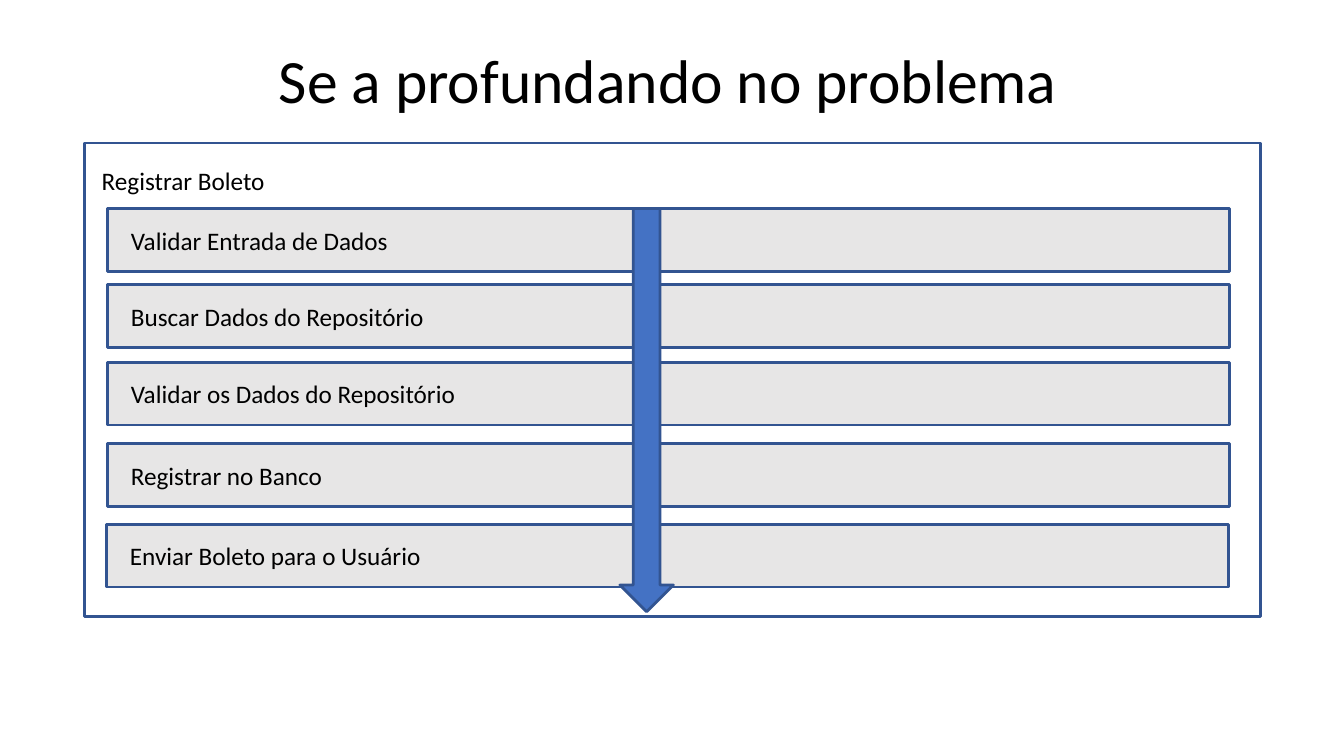
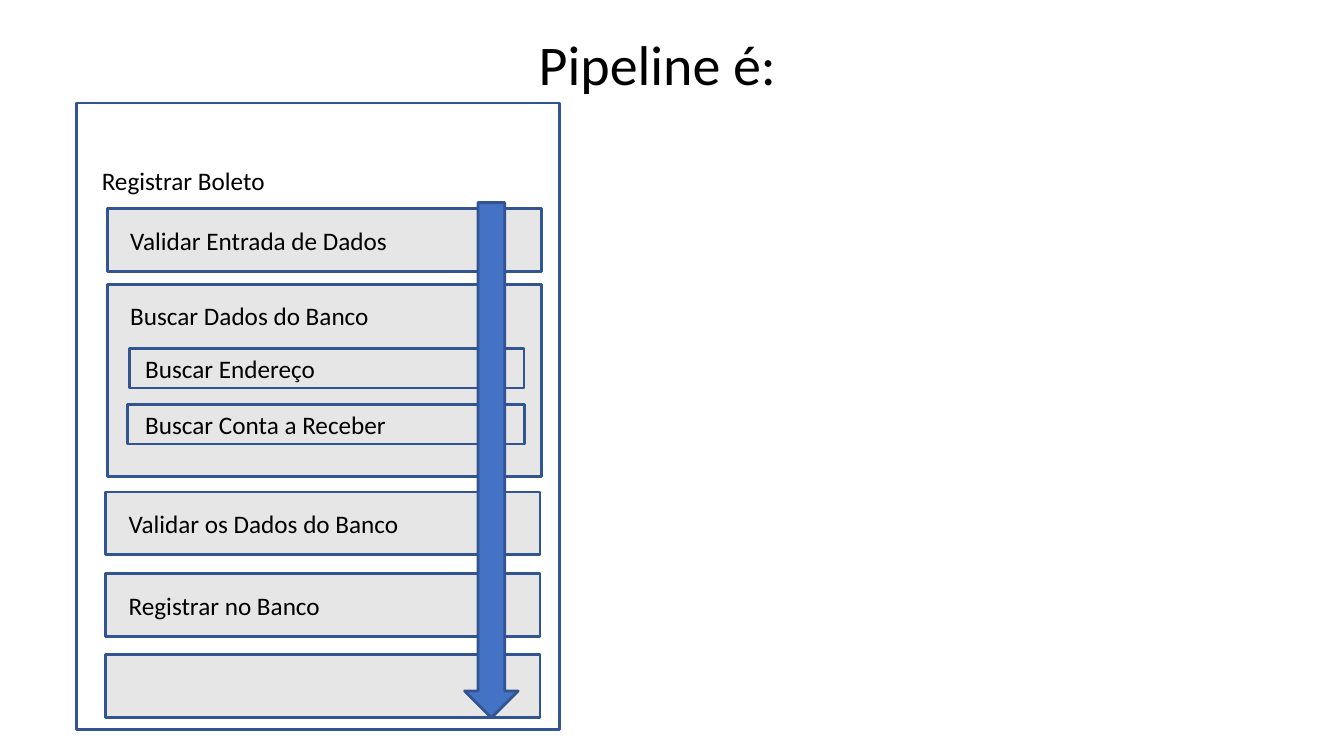
from pptx import Presentation
from pptx.dml.color import RGBColor
from pptx.enum.shapes import MSO_SHAPE
from pptx.enum.text import MSO_ANCHOR, MSO_AUTO_SIZE, PP_ALIGN
from pptx.util import Pt

RECT, ARROW = MSO_SHAPE.RECTANGLE, MSO_SHAPE.DOWN_ARROW
TOP, MIDDLE = MSO_ANCHOR.TOP, MSO_ANCHOR.MIDDLE
LEFT, CENTER = PP_ALIGN.LEFT, PP_ALIGN.CENTER
NO_FIT = MSO_AUTO_SIZE.NONE

FONT = "Calibri"
BLACK, GRAY, BLUE, EDGE = "000000", "E7E6E6", "4472C4", "325491"
ROW_H, SUB_H, ARROW_W = 44.9, 28.1, 38.2
ROW_INSET, LABEL_X, LABEL_Y = 16.5, 72.7, 118
SUB_X, GROUP_INSET = 103.7, 10.8

# Content: boxes are (left, top, width, height); steps are (text, left, top)
SLIDES = [
    {
        "title": "Se a profundando no problema", "size": 44,
        "title_box": (173.5, 26.6, 607.7, 59.8),
        "frame": (60.5, 102.2, 840.2, 338.4),
        "step_width": 801.4,
        "steps": [
            ("Validar Entrada de Dados", 77, 149),
            ("Buscar Dados do Repositório", 77, 203.5),
            ("Validar os Dados do Repositório", 77, 258.7),
            ("Registrar no Banco", 77, 317),
            ("Enviar Boleto para o Usuário", 76.3, 374.4),
        ],
        "substeps": [],
        "arrow": (442.8, 149, ARROW_W, 288),
    },
    {
        "title": "Pipeline é:", "size": 40,
        "title_box": (128.2, 17.3, 682.6, 55.4),
        "frame": (54.7, 73.6, 344.9, 447.8),
        "step_width": 310.3,
        "steps": [
            ("Validar Entrada de Dados", 76.5, 149),
            ("Buscar Dados do Banco", 76.5, 203.5, 136.8),
            ("Validar os Dados do Banco", 75.4, 351.5),
            ("Registrar no Banco", 75.4, 409.7),
            ("", 75.4, 467.4),
        ],
        "substeps": [
            ("Buscar Endereço", 92.7, 249.1),
            ("Buscar Conta a Receber", 90.9, 289.1),
        ],
        "substep_right": 374.4,
        "arrow": (331.9, 144.7, ARROW_W, 367.9),
    },
]


def rgb(color):
    return RGBColor.from_string(color)


def write(sp, text, size, align, **frame_format):
    tf = sp.text_frame
    for name, value in frame_format.items():
        setattr(tf, name, value)
    p = tf.paragraphs[0]
    p.alignment = align
    r = p.add_run()
    r.text = text
    for name, value in {"name": FONT, "size": Pt(size), "bold": False}.items():
        setattr(r.font, name, value)
    r.font.color.rgb = rgb(BLACK)


def add_box(s, kind, box, fill=None, text="", inset=0, top=None):
    sp = s.shapes.add_shape(kind, *map(Pt, box))
    sp.shadow.inherit = False
    if fill:
        sp.fill.solid()
        sp.fill.fore_color.rgb = rgb(fill)
    else:
        sp.fill.background()
    sp.line.color.rgb = rgb(EDGE)
    sp.line.width = Pt(2)
    if text:
        write(sp, text, 18, LEFT, word_wrap=True, margin_left=Pt(inset),
              margin_top=Pt(top or 0), margin_bottom=0,
              vertical_anchor=MIDDLE if top is None else TOP)


def add_title(s, data):
    title = s.shapes.title
    title.left, title.top, title.width, title.height = map(Pt, data["title_box"])
    write(title, data["title"], data["size"], CENTER, word_wrap=True,
          auto_size=NO_FIT, vertical_anchor=MIDDLE)


def build_slide(prs, data):
    s = prs.slides.add_slide(prs.slide_layouts[5])
    add_title(s, data)

    # Outer process
    x, y = data["frame"][:2]
    add_box(s, RECT, data["frame"], text="Registrar Boleto",
            inset=LABEL_X - x, top=LABEL_Y - y)

    # Steps; one with its own height holds substeps and has its text on top
    for text, x, y, *height in data["steps"]:
        h = height[0] if height else ROW_H
        add_box(s, RECT, (x, y, data["step_width"], h), GRAY, text,
                ROW_INSET, GROUP_INSET if height else None)
    for text, x, y in data["substeps"]:
        add_box(s, RECT, (x, y, data["substep_right"] - x, SUB_H), GRAY,
                text, SUB_X - x)

    # Flow direction
    add_box(s, ARROW, data["arrow"], BLUE)


def main():
    prs = Presentation()
    prs.slide_width, prs.slide_height = Pt(960), Pt(540)
    for data in SLIDES:
        build_slide(prs, data)
    prs.save("out.pptx")


if __name__ == "__main__":
    main()
